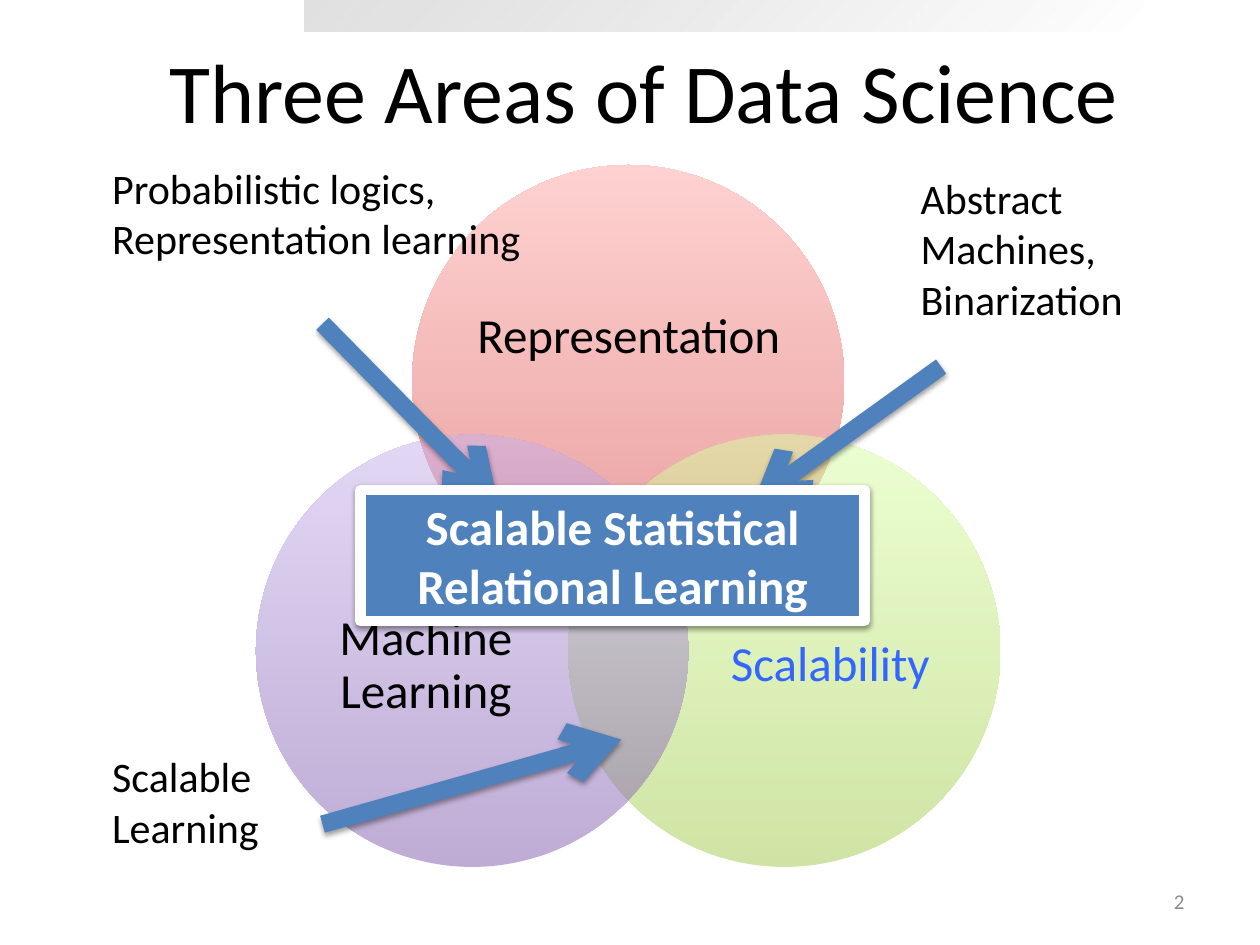
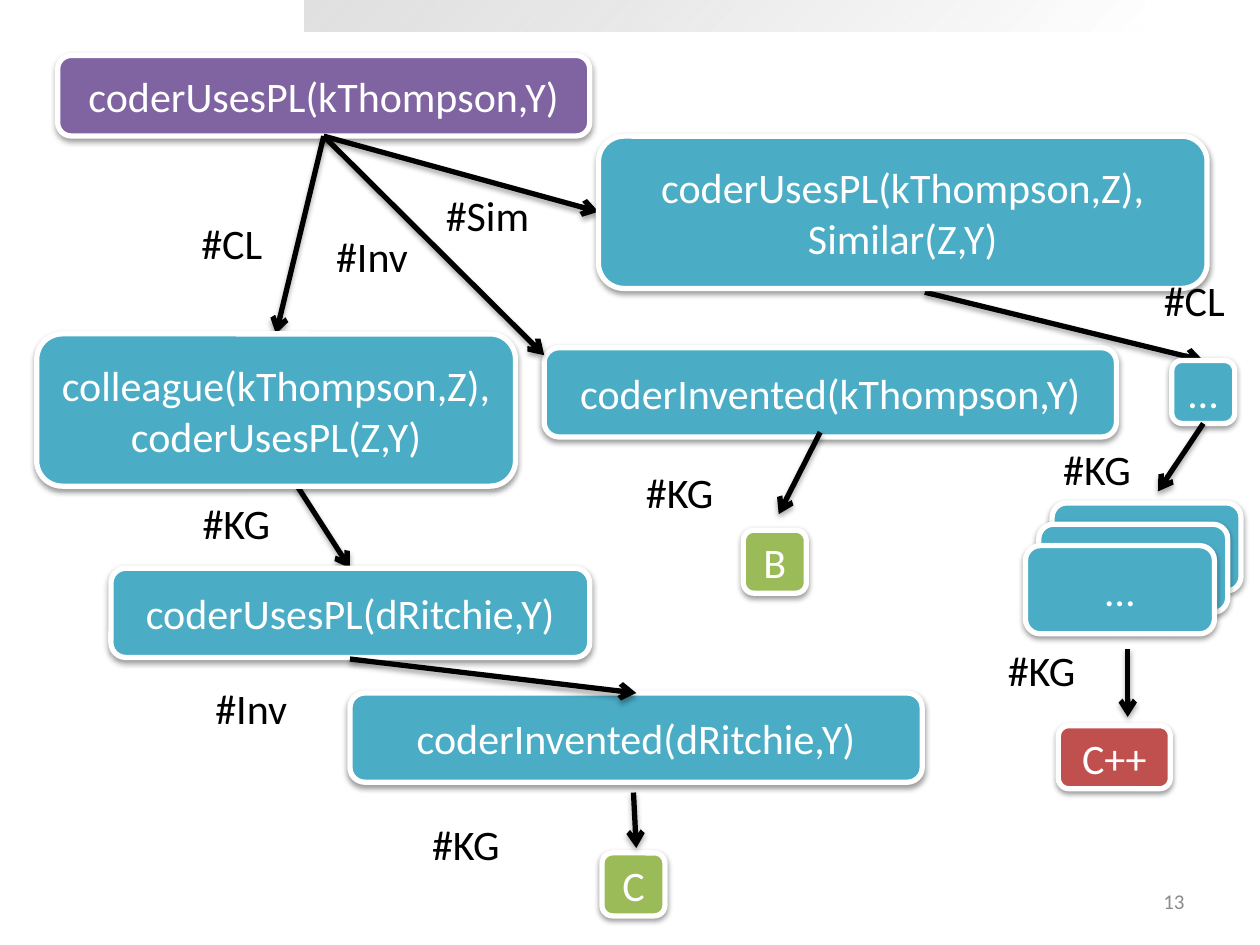
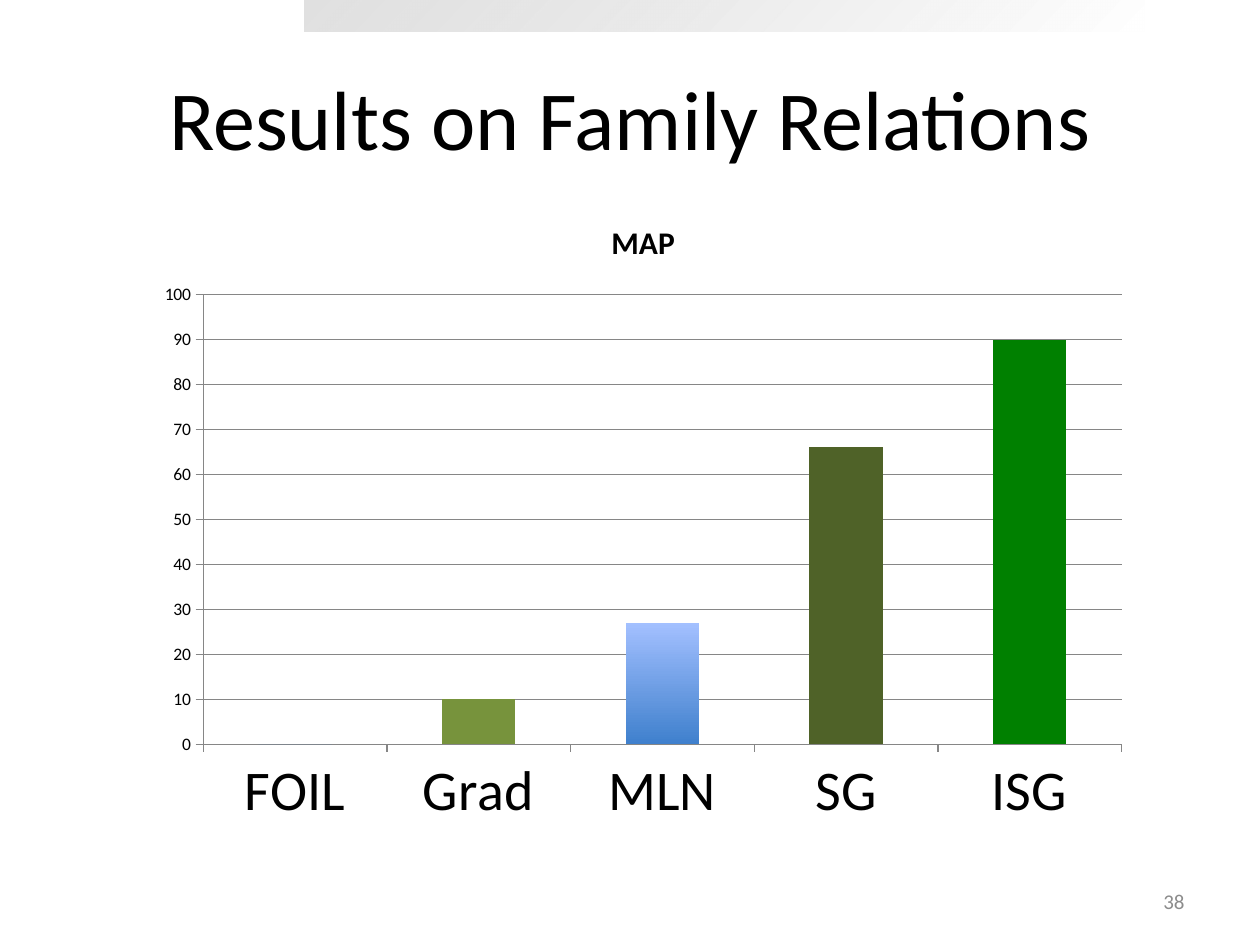
from dataclasses import dataclass

from lxml import etree
from pptx import Presentation
from pptx.chart.data import CategoryChartData
from pptx.dml.color import RGBColor
from pptx.enum.chart import XL_CHART_TYPE, XL_TICK_MARK
from pptx.enum.shapes import MSO_CONNECTOR, MSO_SHAPE
from pptx.enum.text import MSO_ANCHOR, MSO_AUTO_SIZE, PP_ALIGN
from pptx.oxml import parse_xml
from pptx.oxml.ns import nsdecls, qn
from pptx.util import Pt

LEFT, CENTER, RIGHT = PP_ALIGN.LEFT, PP_ALIGN.CENTER, PP_ALIGN.RIGHT
TOP, MIDDLE = MSO_ANCHOR.TOP, MSO_ANCHOR.MIDDLE
RECT, ROUND, OVAL = MSO_SHAPE.RECTANGLE, MSO_SHAPE.ROUNDED_RECTANGLE, MSO_SHAPE.OVAL
STRAIGHT = MSO_CONNECTOR.STRAIGHT
GROW = MSO_AUTO_SIZE.SHAPE_TO_FIT_TEXT
COLUMN = XL_CHART_TYPE.COLUMN_CLUSTERED
OUT, NONE = XL_TICK_MARK.OUTSIDE, XL_TICK_MARK.NONE
TITLE_ONLY, BLANK = 5, 6
UP, SLANT = 90, 315


@dataclass(frozen=True)
class Theme:
    font: str = "Calibri"
    ink: str = "000000"
    paper: str = "FFFFFF"
    mute: str = "8C8C8C"
    grid: str = "868686"
    blue: str = "4F81BD"
    link: str = "3366FF"
    teal: str = "4BACC6"
    plum: str = "8064A2"
    lime: str = "9BBB59"
    red: str = "C0504D"
    olive: str = "77933C"
    moss: str = "4F6228"
    green: str = "008000"
    band: tuple = ("C0C0C0", "FFFFFF")
    rose: tuple = ("D1403C", "FFA6A5")
    leaf: tuple = ("A0CA4A", "DAFFA5")
    lilac: tuple = ("7F5BAB", "C8B0ED")
    sky: tuple = ("3F80CD", "A3C0FF")
    head: int = 48
    axis: int = 32
    large: int = 28
    text: int = 24
    sub: int = 18
    foot: int = 12
    tick: int = 10


T = Theme()

# x, y, w, h, text, fill
ROOT = (33, 31.7, 304, 46, "coderUsesPL(kThompson,Y)", T.plum)
NODES = [
    (21, 190.8, 273.6, 87, "colleague(kThompson,Z),\ncoderUsesPL(Z,Y)", T.teal),
    (342, 77.8, 347.8, 87, "coderUsesPL(kThompson,Z),\nSimilar(Z,Y)", T.teal),
    (63.4, 324.7, 273.6, 51, "coderUsesPL(dRitchie,Y)", T.teal),
    (311, 198.7, 327, 51, "coderInvented(kThompson,Y)", T.teal),
    (424.8, 303, 36, 36, "B", T.lime),
    (200, 396, 327, 51, "coderInvented(dRitchie,Y)", T.teal),
    (344, 487.4, 36, 36, "C", T.lime),
    (669.6, 206, 36, 36, "…", T.teal),
    (604.8, 414.7, 64, 36, "C++", T.red),
]
STACK = (586, 311.8, 108, 50.4)
# x1, y1, x2, y2
BACK = [
    (185, 77.8, 157.7, 190.8),
    (185, 77.8, 342, 121),
    (170, 278, 200, 324.7),
    (528.5, 167, 687.6, 206),
]
FRONT = [
    (185, 77.8, 311, 203),
    (468.7, 247, 445, 293.8),
    (200, 376.6, 363.6, 396),
    (362, 452.9, 363.6, 484.6),
    (687.6, 242, 661.7, 280.8),
    (644.4, 370.8, 644.4, 409.7),
]
# text, x, y, w
TAGS = [
    ("#CL", 108, 121, 58), ("#Sim", 247.7, 105, 64), ("#KG", 108.7, 280.8, 62.6),
    ("#Inv", 185, 128, 58), ("#KG", 362, 262.8, 62.6), ("#Inv", 116, 386.6, 58),
    ("#KG", 239.8, 464.4, 62.6), ("#CL", 658, 153.4, 58), ("#KG", 600.5, 249.8, 62.6),
    ("#KG", 568.8, 365, 62.6),
]


def rgb(code):
    return RGBColor.from_string(code)


def place(shape, *box):
    shape.left, shape.top, shape.width, shape.height = map(Pt, box)


def style(font, size, color=T.ink, bold=False):
    font.name, font.size, font.bold = T.font, Pt(size), bold
    font.color.rgb = rgb(color)


def write(frame, text, size, color=T.ink, align=LEFT, anchor=TOP, bold=False):
    frame.text = text
    frame.vertical_anchor = anchor
    for para in frame.paragraphs:
        para.alignment = align
        for run in para.runs:
            style(run.font, size, color, bold)


def label(slide, text, box, size=T.text, wrap=True, grow=True, **look):
    frame = slide.shapes.add_textbox(*map(Pt, box)).text_frame
    frame.word_wrap = wrap
    if grow:
        frame.auto_size = GROW
    write(frame, text, size, **look)
    return frame


def grade(fill, pair, angle=UP):
    fill.gradient()
    fill.gradient_angle = angle
    for stop, color, spot in zip(fill.gradient_stops, pair, (0, 1)):
        stop.color.rgb = rgb(color)
        stop.position = spot


def blend(slide, kind, box, pair, alphas, angle=UP):
    """Add a shape with a see-through gradient and no outline."""
    shape = slide.shapes.add_shape(kind, *map(Pt, box))
    shape.shadow.inherit = False
    grade(shape.fill, pair, angle)
    shape.line.fill.background()
    for color, alpha in zip(shape.element.spPr.iter(qn("a:srgbClr")), alphas):
        etree.SubElement(color, qn("a:alpha")).set("val", str(alpha * 1000))
    return shape


def shade(shape, alpha=38, dist=20000):
    """Drop a soft shadow below; call after fill and line are set."""
    shape.element.spPr.append(parse_xml(
        f'<a:effectLst {nsdecls("a")}><a:outerShdw blurRad="40000" dist="{dist}" '
        f'dir="5400000" rotWithShape="0"><a:srgbClr val="{T.ink}">'
        f'<a:alpha val="{alpha * 1000}"/></a:srgbClr></a:outerShdw></a:effectLst>'))


def card(slide, kind, box, text, fill, edge=3, size=T.text, anchor=MIDDLE, bold=False):
    shape = slide.shapes.add_shape(kind, *map(Pt, box))
    shape.fill.solid()
    shape.fill.fore_color.rgb = rgb(fill)
    shape.line.color.rgb = rgb(T.paper)
    shape.line.width = Pt(edge)
    shade(shape)
    write(shape.text_frame, text, size, T.paper, CENTER, anchor, bold)


def arrow(slide, ends, color=T.ink, width=3, **shadow):
    line = slide.shapes.add_connector(STRAIGHT, *map(Pt, ends))
    line.line.color.rgb = rgb(color)
    line.line.width = Pt(width)
    stroke = line.element.spPr.find(qn("a:ln"))
    etree.SubElement(stroke, qn("a:tailEnd")).set("type", "arrow")
    shade(line, **shadow)


def start(deck, layout, number):
    slide = deck.slides.add_slide(deck.slide_layouts[layout])
    label(slide, str(number), (516, 500.5, 168, 28.8), T.foot, grow=False,
          color=T.mute, align=RIGHT, anchor=MIDDLE)
    return slide


def head(slide, text, x, y):
    title = slide.shapes.title
    place(title, x, y, 648, 90)
    write(title.text_frame, text, T.head, align=CENTER, anchor=MIDDLE)


def band(deck, slide):
    """Draw the top band and move it to the master, behind all else."""
    strip = blend(slide, RECT, (174, 0, 480, 18), T.band, (48, 68), SLANT)
    deck.slide_master.shapes.element.insert(2, strip.element)


def areas(deck):
    slide = start(deck, TITLE_ONLY, 2)
    band(deck, slide)
    head(slide, "Three Areas of Data Science", 44, 6.5)
    size, mid, shift, high, low = 247, 359, 89.2, 94.3, 248.4
    rings = [
        (0, high, T.rose, "Representation", T.ink, (268.6, 137.5, 181.4, 111)),
        (shift, low, T.leaf, "Scalability", T.link, (400.3, 312.5, 148.3, 136)),
        (-shift, low, T.lilac, "Machine Learning", T.ink, (169.2, 312.5, 148.3, 136)),
    ]
    for move, y, pair, text, color, box in rings:
        x = mid + move - size / 2
        blend(slide, OVAL, (x, y, size, size), pair, (50, 50))
        frame = label(slide, text, box, T.large, grow=False, color=color,
                      align=CENTER, anchor=MIDDLE)
        frame.margin_left = frame.margin_right = 0
        frame.margin_top = frame.margin_bottom = 0
        frame.paragraphs[0].line_spacing = 0.9
        frame.paragraphs[0].space_after = Pt(10)
    for ends in [(537.8, 209.5, 430.6, 286.6), (184.3, 185, 284.4, 286.6),
                 (184.3, 471, 355, 422.6)]:
        arrow(slide, ends, T.blue, 10)
    label(slide, "Abstract Machines, Binarization", (519, 95, 136.8, 94.3))
    label(slide, "Probabilistic logics,\nRepresentation learning", (57, 89.3, 303.8, 65.5))
    label(slide, "Scalable Learning", (57, 425.5, 136.8, 65.5))
    card(slide, RECT, (206, 280, 288, 75), "Scalable Statistical Relational Learning",
         T.blue, 6, T.large, TOP, True)


def proof(deck):
    slide = start(deck, BLANK, 13)

    def link(ends):
        arrow(slide, ends, alpha=35, dist=23000)

    def node(x, y, w, h, text, fill):
        card(slide, ROUND, (x, y, w, h), text, fill)

    node(*ROOT)
    for ends in BACK:
        link(ends)
    for item in NODES:
        node(*item)
    x, y, w, h = STACK
    for depth in (2, 1, 0):
        node(x + 7.6 * depth, y - 12.2 * depth, w, h, "" if depth else "…", T.teal)
    for ends in FRONT:
        link(ends)
    for text, x, y, w in TAGS:
        label(slide, text, (x, y, w, 36), wrap=False)


def results(deck):
    slide = start(deck, TITLE_ONLY, 38)
    head(slide, "Results on Family Relations", 36, 21.6)
    data = CategoryChartData()
    data.categories = ["FOIL", "Grad", "MLN", "SG", "ISG"]
    data.add_series("Series 1", (0, 10, 27, 66, 90))
    box = map(Pt, (82.8, 111.6, 569.5, 368))
    chart = slide.shapes.add_chart(COLUMN, *box, data).chart
    style(chart.font, T.tick)
    chart.has_legend = False
    chart.has_title = True
    title = chart.chart_title
    title.include_in_layout = False
    write_title = title.text_frame
    write_title.text = "MAP"
    style(write_title.paragraphs[0].runs[0].font, T.sub, bold=True)

    names, scale = chart.category_axis, chart.value_axis
    scale.minimum_scale, scale.maximum_scale, scale.major_unit = 0, 100, 10
    scale.has_major_gridlines = True
    scale.major_gridlines.format.line.color.rgb = rgb(T.grid)
    for axis, size in ((names, T.axis), (scale, T.tick)):
        axis.major_tick_mark, axis.minor_tick_mark = OUT, NONE
        axis.format.line.color.rgb = rgb(T.grid)
        style(axis.tick_labels.font, size)

    plot = chart.plots[0]
    plot.gap_width = 150
    plot.vary_by_categories = False
    bars = plot.series[0]
    bars.format.fill.solid()
    bars.format.fill.fore_color.rgb = rgb(T.blue)
    for spot, color in ((1, T.olive), (3, T.moss), (4, T.green)):
        fill = bars.points[spot].format.fill
        fill.solid()
        fill.fore_color.rgb = rgb(color)
    grade(bars.points[2].format.fill, T.sky)


def main():
    deck = Presentation()
    deck.slide_width, deck.slide_height = Pt(720), Pt(540)
    areas(deck)
    proof(deck)
    results(deck)
    deck.save("out.pptx")


if __name__ == "__main__":
    main()
